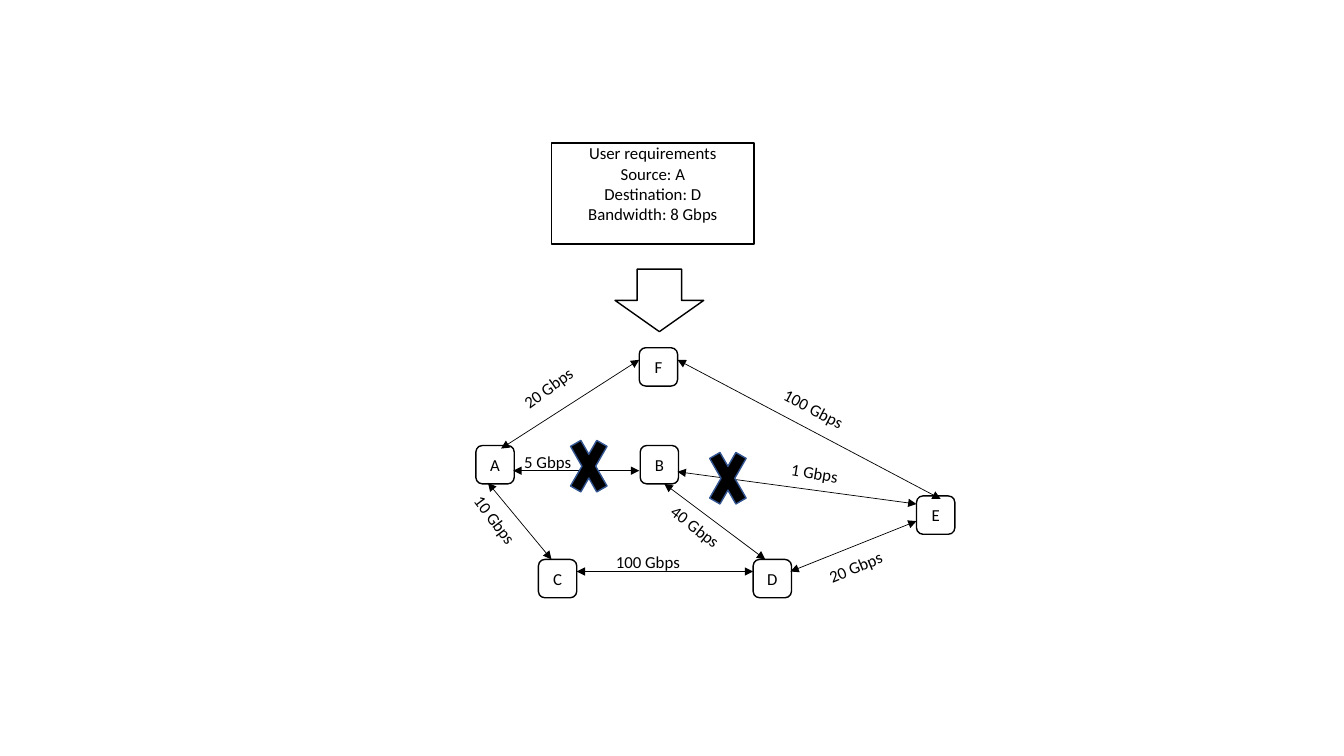
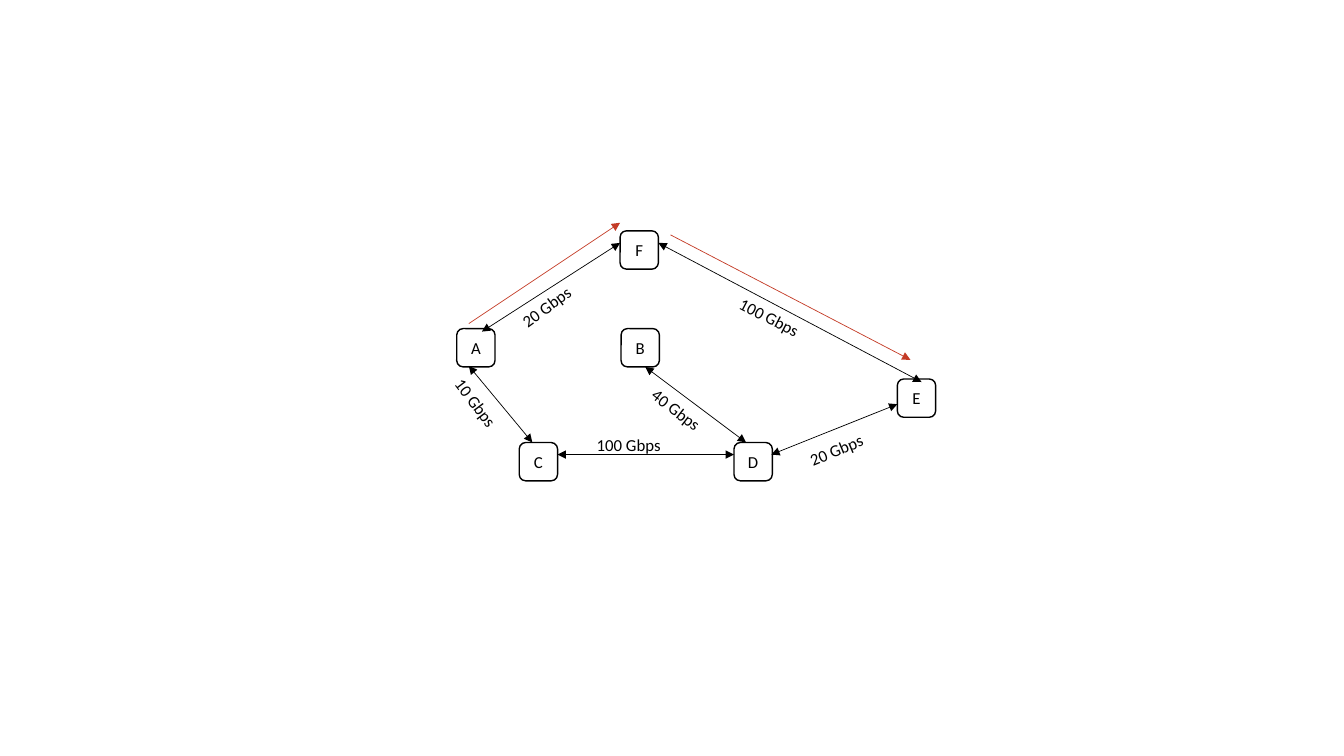
from lxml import etree
from pptx import Presentation
from pptx.dml.color import RGBColor
from pptx.enum.shapes import MSO_CONNECTOR, MSO_SHAPE
from pptx.enum.text import MSO_ANCHOR, PP_ALIGN
from pptx.oxml.ns import qn
from pptx.util import Inches, Pt

STRAIGHT = MSO_CONNECTOR.STRAIGHT
RECTANGLE = MSO_SHAPE.RECTANGLE
ROUNDED = MSO_SHAPE.ROUNDED_RECTANGLE
DOWN_ARROW = MSO_SHAPE.DOWN_ARROW
CROSS = MSO_SHAPE.MATH_MULTIPLY
CENTER = PP_ALIGN.CENTER
LEFT = PP_ALIGN.LEFT
TOP = MSO_ANCHOR.TOP
MIDDLE = MSO_ANCHOR.MIDDLE

BLACK, WHITE, RED, BLUE = "000000", "FFFFFF", "C43B26", "325491"
FONT = "Calibri"
NODE_SIZE = 0.38
BLANK_LAYOUT = 6

# The network both slides share, in the coordinates of the first slide
NODES = {
    "A": (4.72, 4.42), "B": (6.35, 4.42), "C": (5.34, 5.55),
    "D": (7.47, 5.55), "E": (9.09, 4.92), "F": (6.34, 3.45),
}
LINKS = [
    (4.84, 4.79, 5.47, 5.55),  # A-C
    (7.84, 5.67, 9.09, 5.17),  # D-E
    (6.59, 4.80, 7.59, 5.55),  # B-D
    (5.72, 5.67, 7.47, 5.67),  # C-D
    (4.97, 4.45, 6.34, 3.57),  # A-F
    (9.33, 4.95, 6.72, 3.57),  # E-F
]
LABELS = [
    ("20 Gbps", (8.14, 5.42, 0.99, 0.5), 337.5),
    ("100 Gbps", (6.01, 5.42, 1, 0.37), 0),
    ("10 Gbps", (4.48, 5.04, 0.87, 0.38), 53),
    ("40 Gbps", (6.45, 5.22, 1.25, 0.37), 37.7),
]
FILTERED_OFFSET = (-0.19, -1.16)

# Links too slow for the request, on the first slide only
SLOW_LINKS = [(5.09, 4.67, 6.34, 4.67), (6.72, 4.68, 9.09, 5)]
REQUEST_LABELS = [
    ("5 Gbps", (5.1, 4.43, 0.75, 0.38), 0),
    ("1 Gbps", (7.74, 4.57, 1, 0.38), 9.5),
    ("20 Gbps", (5.05, 3.58, 1.11, 0.38), 323.7),
    ("100 Gbps", (7.62, 3.97, 1.13, 0.38), 27.4),
]
CROSSES = [(5.59, 4.19), (6.97, 4.31)]
REQUIREMENTS = ["User requirements", "Source: A", "Destination: D",
                "Bandwidth: 8 Gbps"]

# The chosen route, on the second slide only
ROUTE_LABELS = [
    ("20 Gbps", (5.05, 2.83, 0.93, 0.38), 323.7),
    ("100 Gbps", (7.18, 3.06, 1.13, 0.38), 27.4),
]
ROUTE = [(4.65, 3.21, 6.15, 2.21), (6.65, 2.33, 9.03, 3.57)]


def color(hex_code):
    return RGBColor.from_string(hex_code)


def write(frame, lines, align, anchor):
    frame.word_wrap = True
    frame.vertical_anchor = anchor
    for number, line in enumerate(lines):
        paragraph = frame.add_paragraph() if number else frame.paragraphs[0]
        paragraph.text = line
        paragraph.alignment = align
        paragraph.font.name = FONT
        paragraph.font.size = Pt(12)
        paragraph.font.color.rgb = color(BLACK)


def add_outlined(slide, preset, box, fill=WHITE, line=BLACK):
    shape = slide.shapes.add_shape(preset, *map(Inches, box))
    shape.shadow.inherit = False
    shape.fill.solid()
    shape.fill.fore_color.rgb = color(fill)
    shape.line.color.rgb = color(line)
    shape.line.width = Pt(1)
    return shape


def add_node(slide, name, left, top):
    node = add_outlined(slide, ROUNDED, (left, top, NODE_SIZE, NODE_SIZE))
    write(node.text_frame, [name], CENTER, MIDDLE)


def add_link(slide, ends, hex_code=BLACK, two_way=True):
    link = slide.shapes.add_connector(STRAIGHT, *map(Inches, ends))
    link.line.color.rgb = color(hex_code)
    link.line.width = Pt(0.5)
    outline = link.line._get_or_add_ln()
    for tag in ("a:headEnd", "a:tailEnd") if two_way else ("a:tailEnd",):
        etree.SubElement(outline, qn(tag), type="triangle")
    etree.SubElement(link._element.spPr, qn("a:effectLst"))


def add_label(slide, text, box, angle):
    label = slide.shapes.add_textbox(*map(Inches, box))
    label.rotation = angle
    write(label.text_frame, [text], LEFT, TOP)


def add_network(slide, dx=0, dy=0):
    """Draw the shared nodes, links and speeds, moved by dx and dy."""
    for name, (left, top) in NODES.items():
        add_node(slide, name, left + dx, top + dy)
    for x1, y1, x2, y2 in LINKS:
        add_link(slide, (x1 + dx, y1 + dy, x2 + dx, y2 + dy))
    for text, (left, top, width, height), angle in LABELS:
        add_label(slide, text, (left + dx, top + dy, width, height), angle)


def add_requirements(slide):
    panel = add_outlined(slide, RECTANGLE, (5.47, 1.42, 2.01, 1))
    write(panel.text_frame, REQUIREMENTS, CENTER, TOP)
    panel.text_frame.margin_top = 0
    add_outlined(slide, DOWN_ARROW, (6.1, 2.67, 0.88, 0.62))


def build_request_slide(slide):
    add_network(slide)
    for ends in SLOW_LINKS:
        add_link(slide, ends)
    for label in REQUEST_LABELS:
        add_label(slide, *label)
    for left, top in CROSSES:
        add_outlined(slide, CROSS, (left, top, 0.5, 0.87), BLACK, BLUE)
    add_requirements(slide)


def build_route_slide(slide):
    add_network(slide, *FILTERED_OFFSET)
    for label in ROUTE_LABELS:
        add_label(slide, *label)
    for ends in ROUTE:
        add_link(slide, ends, RED, two_way=False)


def main():
    deck = Presentation()
    deck.slide_width = Inches(13.33)
    deck.slide_height = Inches(7.5)
    for build in (build_request_slide, build_route_slide):
        build(deck.slides.add_slide(deck.slide_layouts[BLANK_LAYOUT]))
    deck.save("out.pptx")


if __name__ == "__main__":
    main()
